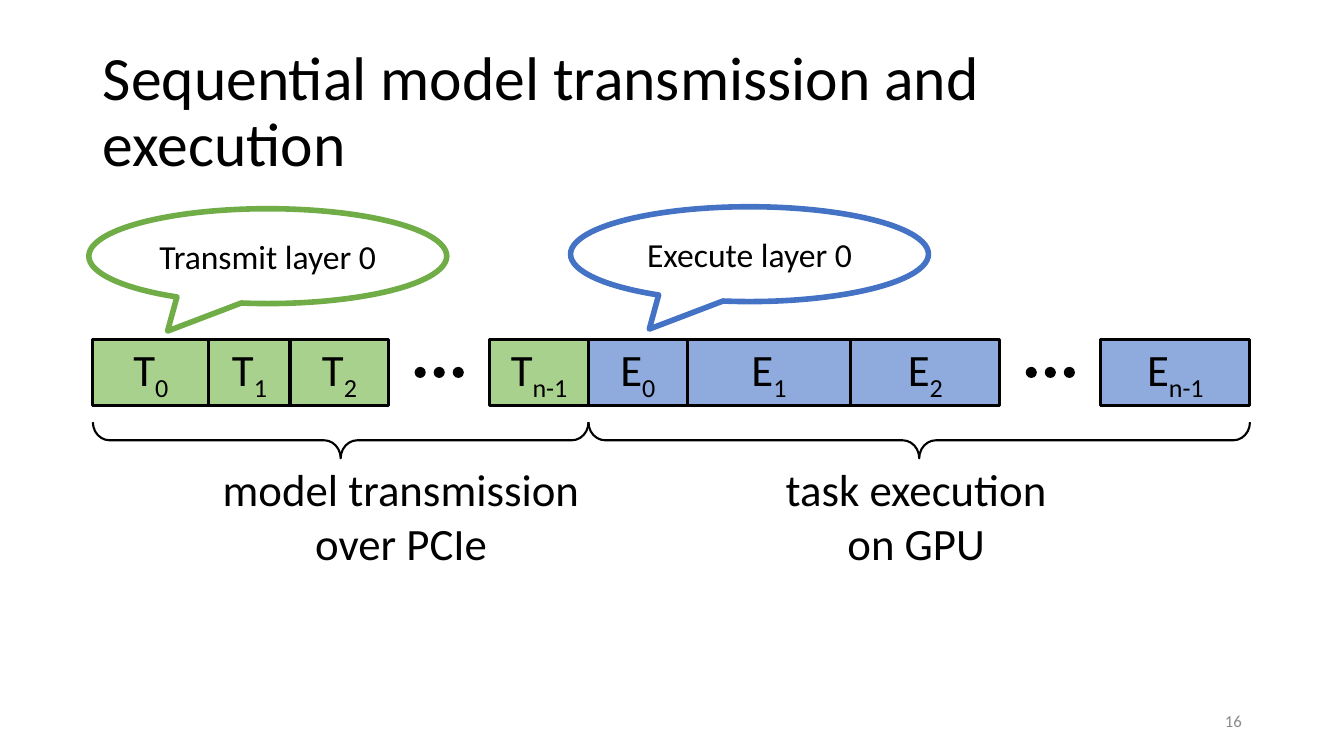
"""Draw the slide on sequential model transmission and execution."""
from dataclasses import dataclass

from pptx import Presentation
from pptx.dml.color import RGBColor as Rgb
from pptx.enum.shapes import MSO_SHAPE as Kind
from pptx.enum.text import MSO_ANCHOR as Anchor, MSO_AUTO_SIZE as Fit, PP_ALIGN as Align
from pptx.util import Cm, Pt


@dataclass(frozen=True)
class Theme:
    font: str = "Calibri"
    ink: str = "000000"
    paper: str = "FFFFFF"
    gray: str = "8C8C8C"
    send: str = "A9D18E"
    run: str = "8FAADC"
    green: str = "70AD47"
    blue: str = "4472C4"
    title: int = 44
    label: int = 32
    note: int = 24
    small: int = 12


def write(shape, text, size, color, font, align=Align.CENTER, anchor=Anchor.MIDDLE,
          wrap=True, space=None):
    frame = shape.text_frame
    frame.auto_size = Fit.NONE
    frame.word_wrap = wrap
    frame.vertical_anchor = anchor
    for row, line in enumerate(text.split("\n")):
        para = frame.add_paragraph() if row else frame.paragraphs[0]
        para.alignment = align
        para.line_spacing = space
        for part, word in enumerate(line.split("_")):
            run = para.add_run()
            run.text = word
            run.font.size = Pt(size)
            run.font.name = font
            run.font.color.rgb = Rgb.from_string(color)
            if part:
                run._r.get_or_add_rPr().set("baseline", "-25000")


class Deck:
    def __init__(self, theme):
        self.theme = theme
        self.prs = Presentation()
        self.prs.slide_width, self.prs.slide_height = Cm(33.87), Cm(19.05)
        self.slide = self.prs.slides.add_slide(self.prs.slide_layouts[5])

    def text(self, shape, words, size, color=None, **form):
        write(shape, words, size, color or self.theme.ink, self.theme.font, **form)

    def title(self, words, *box):
        head = self.slide.shapes.title
        head.left, head.top, head.width, head.height = map(Cm, box)
        self.text(head, words, self.theme.title, align=Align.LEFT, space=0.9)

    def label(self, words, *box, size, **form):
        area = self.slide.shapes.add_textbox(*map(Cm, box))
        self.text(area, words, size, **form)

    def shape(self, kind, *box, fill=None, line=None, width=2.25, home=None):
        item = (home or self.slide).shapes.add_shape(kind, *map(Cm, box))
        item.shadow.inherit = False
        if fill:
            item.fill.solid()
            item.fill.fore_color.rgb = Rgb.from_string(fill)
        else:
            item.fill.background()
        if line:
            item.line.color.rgb = Rgb.from_string(line)
            item.line.width = Pt(width)
        else:
            item.line.fill.background()
        return item

    def block(self, words, fill, *box):
        item = self.shape(Kind.RECTANGLE, *box, fill=fill, line=self.theme.ink)
        self.text(item, words, self.theme.label)

    def dots(self, left, top, width, height, size=0.28, step=0.48):
        group = self.slide.shapes.add_group_shape()
        start = left + (width - 2 * step - size) / 2
        for num in range(3):
            self.shape(Kind.OVAL, start + num * step, top + (height - size) / 2,
                       size, size, fill=self.theme.ink, home=group)

    def brace(self, left, right, top, depth=0.91):
        span = right - left
        item = self.shape(Kind.RIGHT_BRACE, (left + right - depth) / 2,
                          top + (depth - span) / 2, depth, span,
                          line=self.theme.ink, width=1.5)
        item.rotation = 90
        item.adjustments[0], item.adjustments[1] = 0.46, 0.5

    def bubble(self, words, color, left, top):
        item = self.shape(Kind.OVAL_CALLOUT, left, top, 9.02, 2.39,
                          fill=self.theme.paper, line=color, width=4)
        item.adjustments[0], item.adjustments[1] = -0.28, 0.79
        self.text(item, words, self.theme.note)


def main():
    theme = Theme()
    deck = Deck(theme)
    deck.title("Sequential model transmission and execution", 2.34, 1.02, 28.25, 3.68)
    deck.label("16", 23.93, 17.65, 7.62, 1.02, size=theme.small,
               color=theme.gray, align=Align.RIGHT)

    left, top, high, gap = 2.34, 8.56, 1.65, 2.54
    stages = [("T", theme.send, (2.92, 2.05, 2.49, 2.49)),
              ("E", theme.run, (2.49, 4.12, 3.76, 3.76))]
    for sign, fill, widths in stages:
        start = left
        for mark, width in zip(("0", "1", "2", "n-1"), widths):
            if mark == "n-1":
                deck.dots(left, top, gap, high)
                left += gap
            deck.block(f"{sign}_{mark}", fill, left, top, width, high)
            left += width
        deck.brace(start, left, 10.64)

    for words, side, width in (("model transmission\nover PCIe", 5.31, 9.6),
                               ("task execution\non GPU", 19.51, 7.16)):
        deck.label(words, side, 11.51, width, 3, size=theme.label,
                   anchor=Anchor.TOP, wrap=False)
    deck.bubble("Transmit layer 0", theme.green, 2.24, 5.26)
    deck.bubble("Execute layer 0", theme.blue, 14.38, 5.21)
    deck.prs.save("out.pptx")


if __name__ == "__main__":
    main()
